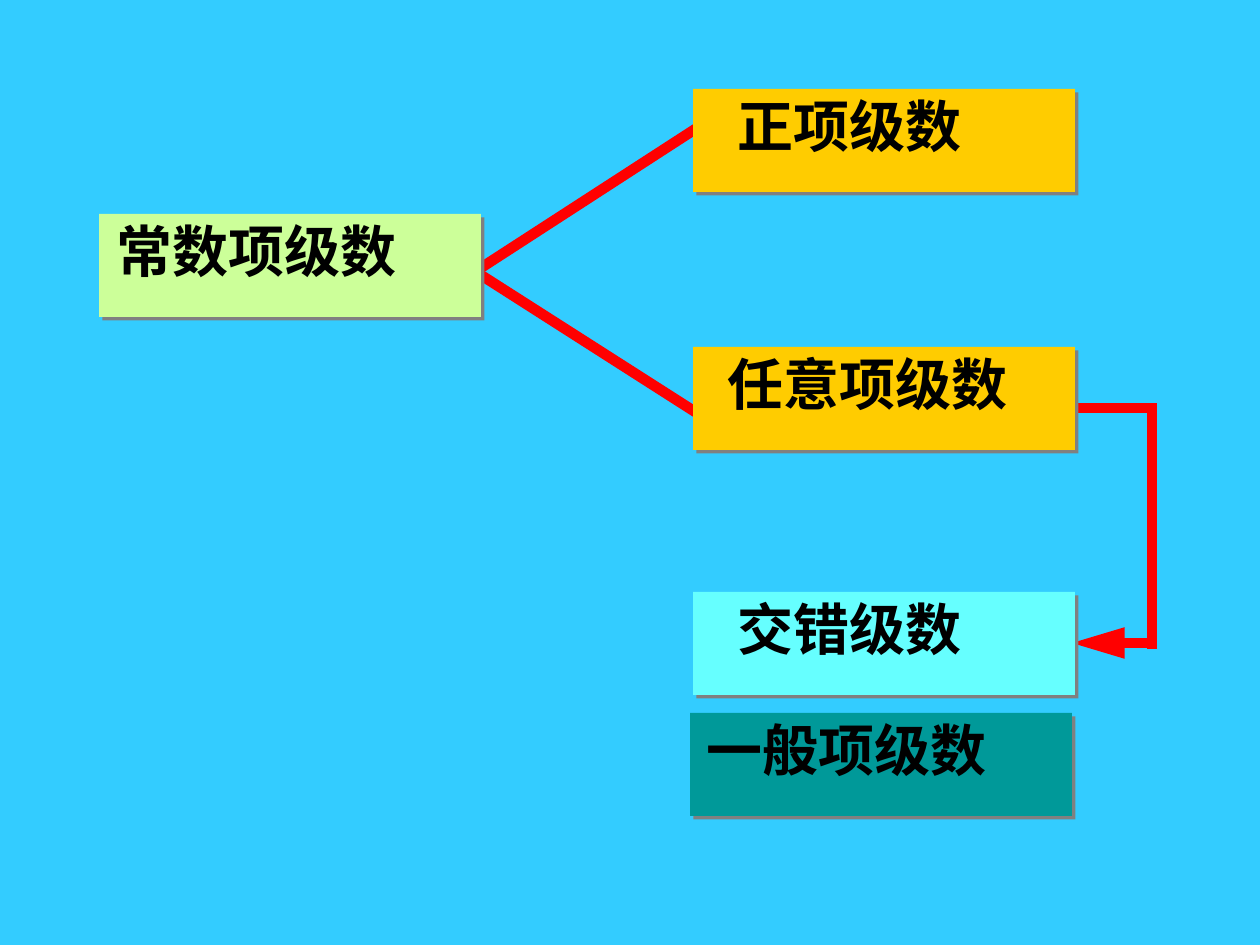
from lxml.etree import SubElement
from pptx import Presentation
from pptx.dml.color import RGBColor
from pptx.enum.shapes import MSO_CONNECTOR as LINK, MSO_SHAPE as SHAPE
from pptx.enum.text import MSO_AUTO_SIZE as FIT
from pptx.oxml.ns import qn
from pptx.util import Emu, Pt

SCALE = 914400 / 126
WIDE, HIGH = 382, 103
RED, BLACK, GRAY = "FF0000", "000000", "808080"


def px(n):
    return Emu(round(n * SCALE))


def paint(fmt, color):
    fmt.solid()
    fmt.fore_color.rgb = RGBColor.from_string(color)


def shade(shape):
    """Give the shape a hard gray shadow to the lower right."""
    effects = SubElement(shape._element.spPr, qn("a:effectLst"))
    outer = SubElement(effects, qn("a:outerShdw"), dist="35921",
                       dir="2700000", algn="ctr", rotWithShape="0")
    SubElement(outer, qn("a:srgbClr"), val=GRAY)


def label(slide, left, top, color, text, inset):
    """Place a card with its text, which starts inset from the card's left."""
    group = slide.shapes.add_group_shape()
    card = group.shapes.add_shape(SHAPE.RECTANGLE, px(left), px(top),
                                  px(WIDE), px(HIGH))
    paint(card.fill, color)
    card.line.fill.background()
    shade(card)

    box = group.shapes.add_textbox(px(left + inset), px(top - 4),
                                   px(WIDE + 6), px(79))
    frame = box.text_frame
    frame.word_wrap = True
    frame.auto_size = FIT.SHAPE_TO_FIT_TEXT
    frame.text = text
    font = frame.paragraphs[0].runs[0].font
    font.name, font.size, font.bold = "Times New Roman", Pt(32), True
    paint(font.fill, BLACK)


def link(slide, start, end, arrow=False):
    line = slide.shapes.add_connector(LINK.STRAIGHT, *map(px, start + end))
    paint(line.line.fill, RED)
    line.line.width = Pt(6)
    if arrow:
        SubElement(line.line._get_or_add_ln(), qn("a:tailEnd"),
                   type="triangle", w="med", len="lg")
    SubElement(line._element.spPr, qn("a:effectLst"))


def fork(slide, x, y):
    """Join the root card to the two kinds of series."""
    link(slide, (x, y + 3), (x + 227, y - 144))
    link(slide, (x, y), (x + 227, y + 145))


def loop(slide, x, top, bottom):
    """Lead from one card round the right side to a lower one."""
    link(slide, (x, top), (x + 81, top))
    link(slide, (x + 80, bottom + 6), (x + 80, top - 5))
    link(slide, (x + 81, bottom), (x, bottom), arrow=True)


def main():
    deck = Presentation()
    deck.slide_width, deck.slide_height = px(1260), px(945)
    slide = deck.slides.add_slide(deck.slide_layouts[6])
    paint(slide.background.fill, "33CCFF")

    loop(slide, 1072, 408, 643)
    fork(slide, 473, 270)
    for card in (
        (99, 214, "CCFF99", "常数项级数", 5),
        (693, 89, "FFCC00", "正项级数", 32),
        (693, 592, "66FFFF", "交错级数", 32),
        (693, 347, "FFCC00", "任意项级数", 22),
        (690, 713, "009999", "一般项级数", 4),
    ):
        label(slide, *card)
    deck.save("out.pptx")


if __name__ == "__main__":
    main()
